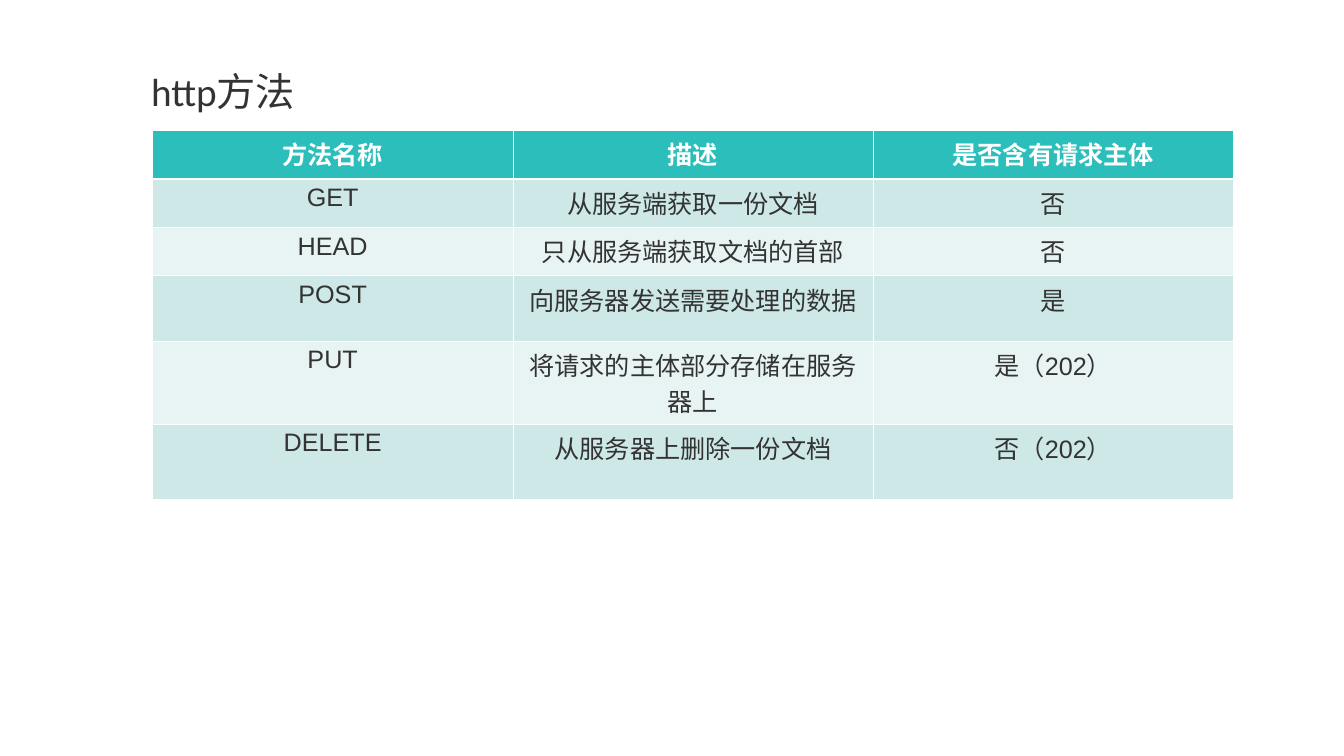
"""Build a slide with a table of HTTP methods."""
from dataclasses import dataclass

from lxml import etree
from pptx import Presentation
from pptx import util as u
from pptx.dml.color import RGBColor
from pptx.enum import text
from pptx.oxml.ns import qn


@dataclass(frozen=True)
class Theme:
    """Colours, fonts and type sizes of the slide."""
    ink: str = "333333"
    white: str = "FFFFFF"
    header: str = "2CBEBB"
    bands: tuple = ("E8F4F3", "CDE8E7")
    title_font: str = "Calibri"
    table_font: str = "Arial"
    title_size: float = 28
    table_size: float = 18
    thin: float = 0.45
    thick: float = 1.47


THEME = Theme()
COLUMN_WIDTHS = (257.5, 257.5, 257.5)
ROW_HEIGHTS = (34.6, 34.6, 34.6, 46.6, 59.4, 53.6)
METHODS = (
    ("方法名称", "描述", "是否含有请求主体"),
    ("GET", "从服务端获取一份文档", "否"),
    ("HEAD", "只从服务端获取文档的首部", "否"),
    ("POST", "向服务器发送需要处理的数据", "是"),
    ("PUT", "将请求的主体部分存储在服务器上", "是（202）"),
    ("DELETE", "从服务器上删除一份文档", "否（202）"),
)
CALIBRI_CELLS = {"方法名称", "向服务器发送需要处理的数据"}


def style_paragraph(paragraph, font_name, size, colour, bold=False):
    """Set the font of a whole paragraph."""
    font = paragraph.font
    font.name, font.size, font.bold = font_name, u.Pt(size), bold
    font.color.rgb = RGBColor.from_string(colour)


def add_title(slide, wording, left, top, width, height):
    """Add the slide title as a wrapped text box."""
    frame = slide.shapes.add_textbox(u.Pt(left), u.Pt(top), u.Pt(width), u.Pt(height)).text_frame
    frame.word_wrap = True
    frame.vertical_anchor = text.MSO_ANCHOR.MIDDLE
    paragraph = frame.paragraphs[0]
    paragraph.text = wording
    paragraph.line_spacing = 0.9
    style_paragraph(paragraph, THEME.title_font, THEME.title_size, THEME.ink)


def add_borders(cell, top, bottom):
    """Draw white borders around a cell, with given top and bottom widths."""
    properties = cell._tc.get_or_add_tcPr()
    for side, width in zip("LRTB", (THEME.thin, THEME.thin, top, bottom)):
        line = etree.SubElement(properties, qn(f"a:ln{side}"), w=str(u.Pt(width)))
        fill = etree.SubElement(line, qn("a:solidFill"))
        etree.SubElement(fill, qn("a:srgbClr"), val=THEME.white)


def fill_cell(cell, wording, row):
    """Write and style one table cell according to its row."""
    is_header = row == 0
    add_borders(cell, THEME.thick if row == 1 else THEME.thin, THEME.thick if is_header else THEME.thin)
    cell.fill.solid()
    cell.fill.fore_color.rgb = RGBColor.from_string(THEME.header if is_header else THEME.bands[row % 2])
    paragraph = cell.text_frame.paragraphs[0]
    paragraph.text = wording
    paragraph.alignment = text.PP_ALIGN.CENTER
    font_name = THEME.title_font if wording in CALIBRI_CELLS else THEME.table_font
    style_paragraph(paragraph, font_name, THEME.table_size, THEME.white if is_header else THEME.ink, is_header)


def add_method_table(slide, left, top):
    """Add the table of HTTP methods."""
    table = slide.shapes.add_table(
        len(ROW_HEIGHTS), len(COLUMN_WIDTHS), u.Pt(left), u.Pt(top),
        u.Pt(sum(COLUMN_WIDTHS)), u.Pt(sum(ROW_HEIGHTS))).table
    for column, width in zip(table.columns, COLUMN_WIDTHS):
        column.width = u.Pt(width)
    for row, (height, wordings) in enumerate(zip(ROW_HEIGHTS, METHODS)):
        table.rows[row].height = u.Pt(height)
        for column, wording in enumerate(wordings):
            fill_cell(table.cell(row, column), wording, row)


def main():
    """Build and save the presentation."""
    presentation = Presentation()
    presentation.slide_width, presentation.slide_height = u.Pt(960.5), u.Pt(540)
    slide = presentation.slides.add_slide(presentation.slide_layouts[6])
    add_title(slide, "http方法", 101, 41.8, 234.7, 51)
    add_method_table(slide, 109, 93.2)
    presentation.save("out.pptx")


if __name__ == "__main__":
    main()
